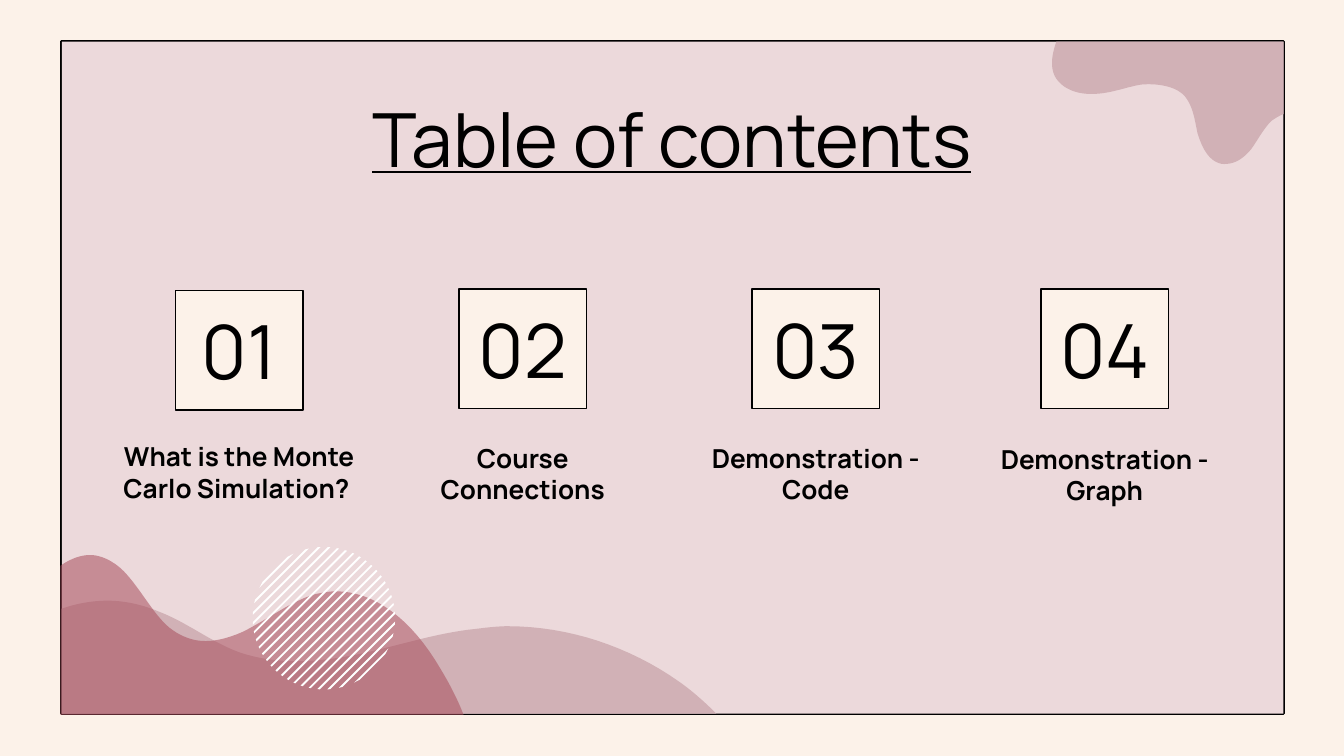
from dataclasses import dataclass, field
from math import sqrt

from lxml.etree import SubElement
from pptx import Presentation
from pptx.dml.color import RGBColor
from pptx.enum.shapes import MSO_SHAPE as Shape
from pptx.enum.text import MSO_ANCHOR as Anchor, PP_ALIGN as Align
from pptx.oxml.ns import qn
from pptx.util import Inches, Pt

COLUMNS = 10
ROWS = COLUMNS * 9 / 16
COLORS = {"cream": "FCF2E9", "blush": "ECD9DB", "mauve": "D1B1B6",
          "rose": "A74C5B", "black": "000000", "white": "FFFFFF"}
PANEL = (0.46, 0.31, 9.09, 5)
TOPICS = [("01", "What is the Monte Carlo Simulation? ", 1.78, 2.16, 3.18, 2.15),
          ("02", "Course Connections", 3.89, 2.15, 3.19, 2.07),
          ("03", "Demonstration - Code", 6.07, 2.15, 3.19, 2),
          ("04", "Demonstration - Graph", 8.22, 2.15, 3.2, 2)]
LOW_HILL = [[(0.46, 5.31)], [(0.46, 4.53)],
            [(0.57, 4.49), (0.69, 4.47), (0.8, 4.47)],
            [(0.93, 4.47), (1.06, 4.5), (1.18, 4.55)],
            [(1.39, 4.63), (1.56, 4.77), (1.77, 4.85)],
            [(1.91, 4.9), (2.06, 4.92), (2.2, 4.92)],
            [(2.36, 4.92), (2.51, 4.9), (2.66, 4.87)],
            [(2.95, 4.81), (3.24, 4.71), (3.54, 4.68)],
            [(3.62, 4.67), (3.7, 4.66), (3.78, 4.66)],
            [(4.23, 4.66), (4.68, 4.81), (5.05, 5.07)],
            [(5.15, 5.14), (5.24, 5.22), (5.33, 5.31)]]
CORNER_BLOB = [[(7.86, 0.31)],
               [(7.83, 0.4), (7.81, 0.49), (7.85, 0.57)],
               [(7.9, 0.66), (8.01, 0.7), (8.12, 0.7)],
               [(8.26, 0.7), (8.37, 0.65), (8.49, 0.63)],
               [(8.61, 0.62), (8.74, 0.64), (8.81, 0.71)],
               [(8.88, 0.79), (8.89, 0.9), (8.91, 0.99)],
               [(8.94, 1.09), (8.99, 1.2), (9.09, 1.22)],
               [(9.19, 1.23), (9.26, 1.17), (9.31, 1.11)],
               [(9.36, 1.04), (9.4, 0.96), (9.46, 0.9)],
               [(9.49, 0.88), (9.52, 0.86), (9.55, 0.85)], [(9.55, 0.31)]]
TALL_HILL = [[(0.45, 5.32)], [(0.45, 4.21)],
             [(0.52, 4.16), (0.6, 4.13), (0.67, 4.13)],
             [(0.75, 4.13), (0.83, 4.17), (0.9, 4.23)],
             [(1.03, 4.35), (1.13, 4.56), (1.26, 4.67)],
             [(1.35, 4.74), (1.44, 4.77), (1.53, 4.77)],
             [(1.62, 4.77), (1.72, 4.74), (1.81, 4.7)],
             [(1.99, 4.61), (2.17, 4.47), (2.35, 4.42)],
             [(2.4, 4.41), (2.45, 4.4), (2.5, 4.4)],
             [(2.78, 4.4), (3.06, 4.6), (3.28, 4.98)],
             [(3.34, 5.08), (3.4, 5.19), (3.45, 5.32)]]


def color(name):
    """Return the palette colour of that name."""
    return RGBColor.from_string(COLORS[name])


def write(box, text, size=14, bold=False, underline=None, anchor=Anchor.TOP):
    """Put centred, formatted text into a box."""
    frame = box.text_frame
    frame.word_wrap = True
    frame.vertical_anchor = anchor
    frame.margin_left = frame.margin_right = Inches(0.1)
    frame.margin_top = frame.margin_bottom = Inches(0.1)
    para = frame.paragraphs[0]
    para.alignment = Align.CENTER
    span = para.add_run()
    span.text = text
    font = span.font
    font.name, font.size = "Manrope", Pt(size)
    font.bold, font.underline = bold, underline
    font.color.rgb = color("black")


def flatten(segments, steps=16):
    """Turn points and cubic curves into one list of points."""
    points = []
    for segment in segments:
        if len(segment) == 1:
            points += segment
            continue
        controls = [points[-1], *segment]
        for step in range(1, steps + 1):
            t = step / steps
            weights = ((1 - t) ** 3, 3 * t * (1 - t) ** 2, 3 * t * t * (1 - t), t ** 3)
            points.append(tuple(sum(w * c[axis] for w, c in zip(weights, controls))
                                for axis in (0, 1)))
    return points


@dataclass
class Canvas:
    """Holds the deck, its current slide and a grid of one-inch columns and rows."""
    deck: object = field(default_factory=Presentation)
    page: object = None

    def start(self):
        """Set the slide size and add a title-only slide."""
        self.deck.slide_width, self.deck.slide_height = self.place(COLUMNS, ROWS)
        self.page = self.deck.slides.add_slide(self.deck.slide_layouts[5])
        self.page.background.fill.solid()
        self.page.background.fill.fore_color.rgb = color("cream")

    def place(self, *cells):
        """Convert columns and rows to lengths."""
        return [Inches(cell) for cell in cells]

    def paint(self, shape, fill=None, line=None, alpha=None):
        """Set fill, outline and opacity, and drop the shadow."""
        shape.shadow.inherit = False
        shape.fill.background()
        shape.line.fill.background()
        if fill:
            shape.fill.solid()
            shape.fill.fore_color.rgb = color(fill)
        if line:
            shape.line.color.rgb = color("black")
            shape.line.width = Pt(line)
        if alpha:
            tint = shape.element.spPr.find(".//" + qn("a:srgbClr"))
            SubElement(tint, qn("a:alpha"), val=str(alpha * 1000))
        return shape

    def rect(self, area, **style):
        """Add a rectangle."""
        return self.paint(self.page.shapes.add_shape(Shape.RECTANGLE, *self.place(*area)), **style)

    def outline(self, points, **style):
        """Add a closed freeform through grid points."""
        first, *rest = [self.place(*point) for point in points]
        builder = self.page.shapes.build_freeform(*first)
        builder.add_line_segments(rest, close=True)
        self.paint(builder.convert_to_shape(), **style)

    def title(self, text, area):
        """Fill the title placeholder and bring it to the front."""
        box = self.page.shapes.title
        box.left, box.top, box.width, box.height = self.place(*area)
        box.element.getparent().append(box.element)
        write(box, text, size=40, underline=True)

    def topic(self, number, label, center, top, label_top, width):
        """Add a numbered square with its label below."""
        square = self.rect((center - 0.95 / 2, top, 0.95, 0.89), fill="cream", line=0.75)
        write(square, number, size=40, anchor=Anchor.MIDDLE)
        area = self.place(center - width / 2, label_top, width, 0.93)
        write(self.page.shapes.add_textbox(*area), label, bold=True)

    def striped_disc(self, x, y, radius, count=20, spread=1.43, band=0.02):
        """Add diagonal stripes cut off by a circle."""
        for index in range(count):
            middle = (index / (count - 1) - 0.5) * spread
            corners = []
            for offset, way in ((-band / 2, 1), (-band / 2, -1), (band / 2, -1), (band / 2, 1)):
                shift = (middle + offset) / 2
                reach = way * sqrt(radius ** 2 / 2 - shift ** 2)
                corners.append((x + shift + reach, y + shift - reach))
            self.outline(corners, fill="white")


def main():
    """Build and save the contents slide."""
    canvas = Canvas()
    canvas.start()
    canvas.rect(PANEL, line=1.5)
    canvas.rect(PANEL, fill="blush")
    canvas.outline(flatten(LOW_HILL), fill="mauve")
    canvas.outline(flatten(CORNER_BLOB), fill="mauve")
    canvas.outline(flatten(TALL_HILL), fill="rose", alpha=54)
    canvas.title("Table of contents", (0.78, 0.59, 8.44, 0.89))
    for topic in TOPICS:
        canvas.topic(*topic)
    canvas.striped_disc(2.41, 4.6, 0.53)
    canvas.deck.save("out.pptx")


if __name__ == "__main__":
    main()
